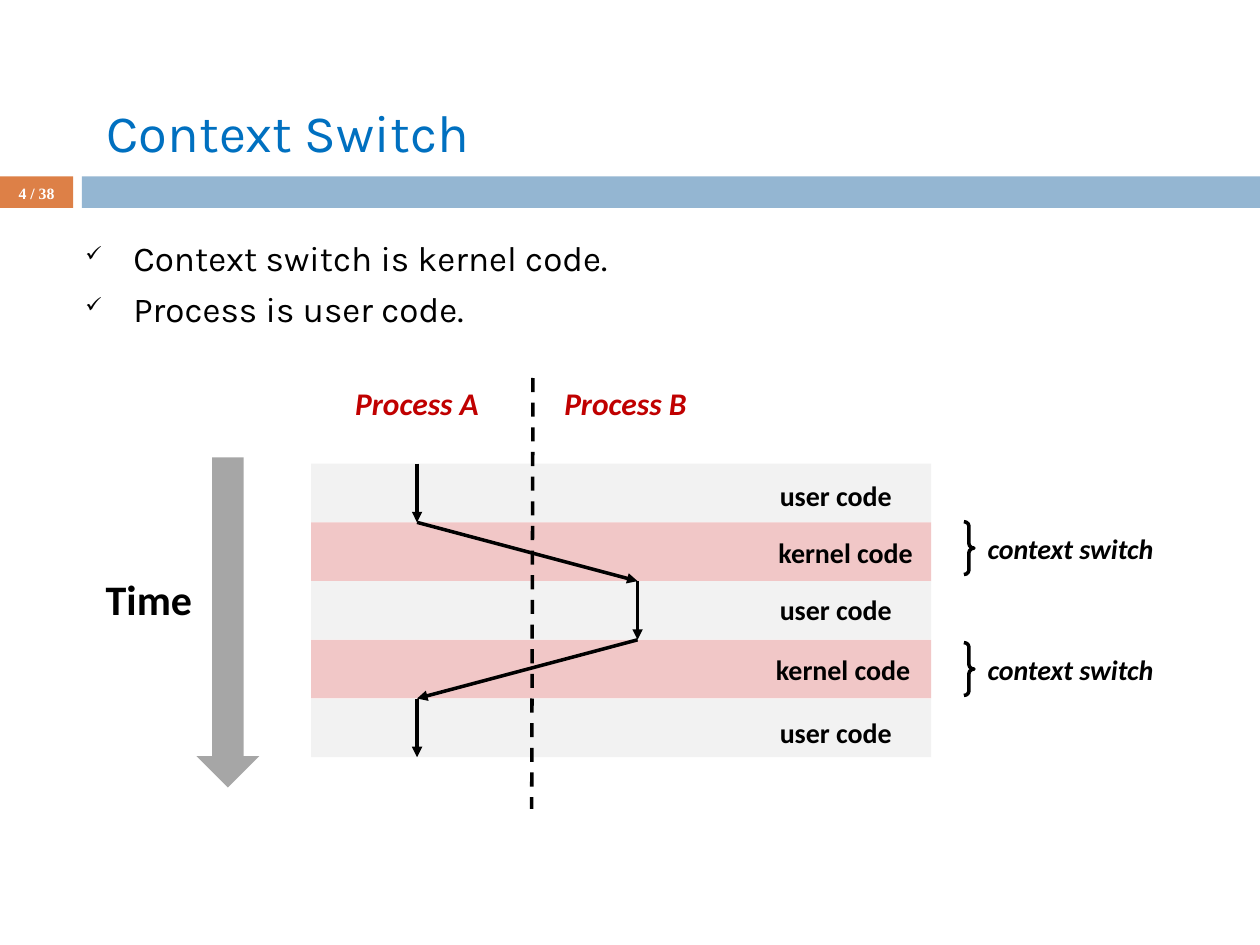
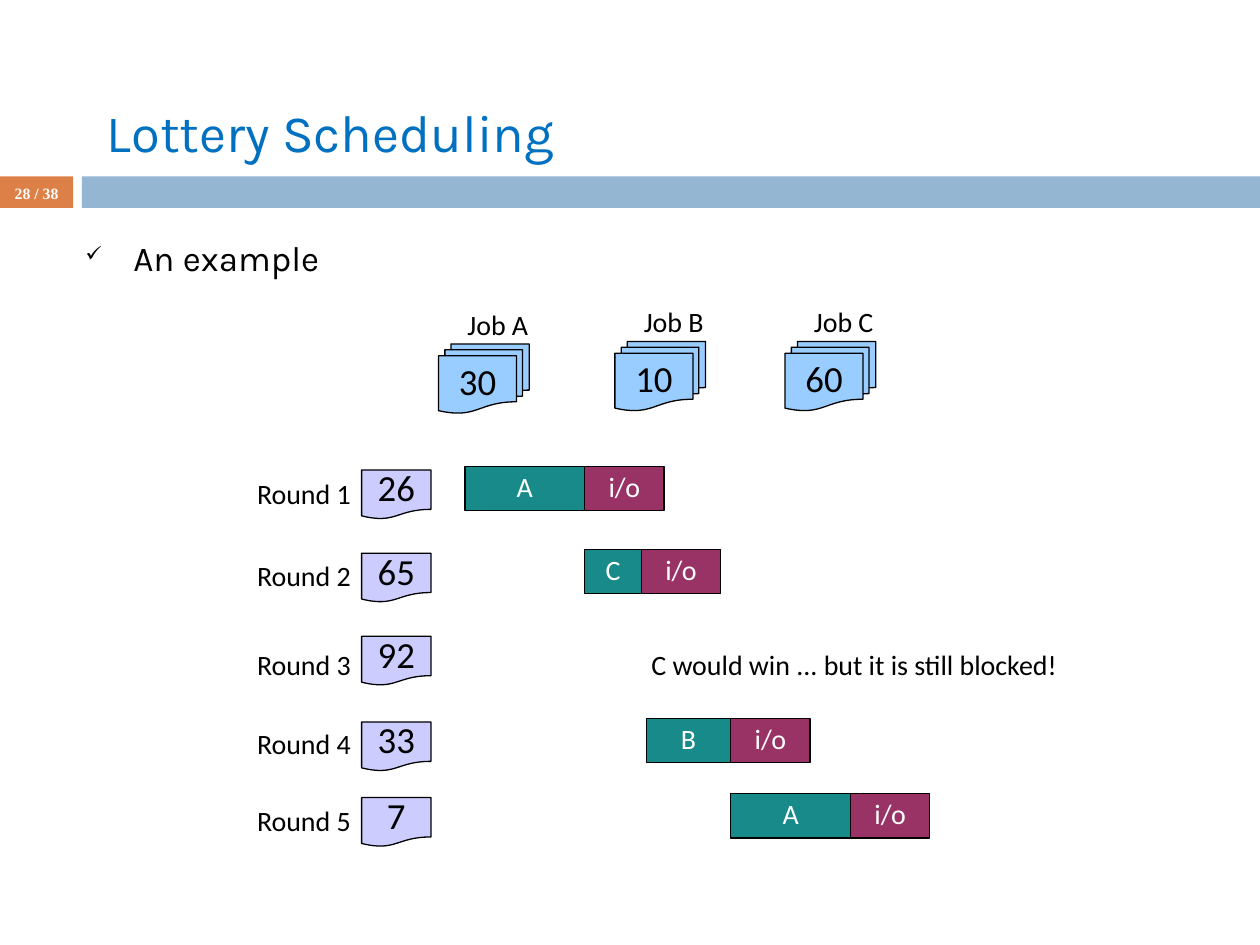
"""Build two operating-system slides: context switch and lottery scheduling."""
from dataclasses import dataclass
from itertools import pairwise

from lxml.etree import SubElement
from pptx import Presentation
from pptx.dml.color import RGBColor
from pptx.enum.dml import MSO_LINE_DASH_STYLE as Dash
from pptx.enum.shapes import MSO_CONNECTOR, MSO_SHAPE as Preset
from pptx.enum.text import MSO_ANCHOR as Anchor, MSO_AUTO_SIZE as AutoSize, PP_ALIGN as Align
from pptx.oxml.ns import qn
from pptx.shapes.autoshape import Shape
from pptx.slide import Slide
from pptx.util import Inches, Pt

BLACK = RGBColor(0x00, 0x00, 0x00)
WHITE = RGBColor(0xFF, 0xFF, 0xFF)
ORANGE = RGBColor(0xDD, 0x80, 0x47)
STEEL = RGBColor(0x94, 0xB6, 0xD2)
TITLE_BLUE = RGBColor(0x00, 0x70, 0xC0)
RED = RGBColor(0xC0, 0x00, 0x00)
USER_GRAY = RGBColor(0xF2, 0xF2, 0xF2)
KERNEL_PINK = RGBColor(0xF1, 0xC7, 0xC7)
ARROW_GRAY = RGBColor(0xA6, 0xA6, 0xA6)
TICKET_BLUE = RGBColor(0x99, 0xCC, 0xFF)
DRAW_LILAC = RGBColor(0xCC, 0xCC, 0xFF)
RUN_TEAL = RGBColor(0x19, 0x8A, 0x8A)
IO_PLUM = RGBColor(0x99, 0x33, 0x66)

HEADING_FONT = "Karla"
LABEL_FONT = "Calibri"
PAGE_FONT = "Times New Roman"
PAGE_COUNT = 38

BAND_LEFT, BAND_TOP, BAND_WIDTH, BAND_PITCH = 2.47, 3.68, 4.92, 2.33 / 5
PROCESS_A_X, PROCESS_B_X = 3.31, 5.06
BAR_HEIGHT, IO_WIDTH = 0.35, 0.63


@dataclass(frozen=True)
class Band:
    """A stretch of time spent in user or kernel code."""

    mode: str
    color: RGBColor
    label_left: float
    label_top: float


@dataclass(frozen=True)
class Job:
    """A job and the lottery tickets it holds."""

    name: str
    tickets: int
    left: float
    top: float


@dataclass(frozen=True)
class Burst:
    """The CPU time of the job that wins a round."""

    job: str
    left: float
    width: float


@dataclass(frozen=True)
class Round:
    """One lottery draw and the burst it leads to."""

    ticket: int
    label_top: float
    card_top: float
    burst: Burst | None


BANDS = [
    Band("user", USER_GRAY, 6.09, 3.75),
    Band("kernel", KERNEL_PINK, 6.08, 4.2),
    Band("user", USER_GRAY, 6.09, 4.65),
    Band("kernel", KERNEL_PINK, 6.06, 5.13),
    Band("user", USER_GRAY, 6.09, 5.63),
]
JOBS = [
    Job("Job A", 30, 3.48, 2.73),
    Job("Job B", 10, 4.88, 2.71),
    Job("Job C", 60, 6.23, 2.71),
]
ROUNDS = [
    Round(26, 3.77, 3.73, Burst("A", 3.69, 0.95)),
    Round(65, 4.42, 4.39, Burst("C", 4.64, 0.45)),
    Round(92, 5.13, 5.05, None),
    Round(33, 5.76, 5.73, Burst("B", 5.13, 0.67)),
    Round(7, 6.37, 6.33, Burst("A", 5.8, 0.95)),
]


def write(shape: Shape, text: str, *, size: float, font: str = LABEL_FONT,
          color: RGBColor = BLACK, bold: bool = False, italic: bool = False,
          align: Align = Align.LEFT, anchor: Anchor = Anchor.TOP,
          spacing: float = 1.0, wrap: bool = True,
          inset: tuple[float, float] = (0.1, 0.05)) -> None:
    """Write formatted text, one paragraph a line, into a shape."""
    frame = shape.text_frame
    frame.word_wrap = wrap
    frame.auto_size = AutoSize.NONE
    frame.vertical_anchor = anchor
    frame.margin_left = frame.margin_right = Inches(inset[0])
    frame.margin_top = frame.margin_bottom = Inches(inset[1])
    frame.text = text
    for paragraph in frame.paragraphs:
        paragraph.alignment = align
        paragraph.line_spacing = spacing
        for run in paragraph.runs:
            run.font.name = font
            run.font.size = Pt(size)
            run.font.color.rgb = color
            run.font.bold = bold
            run.font.italic = italic


def add_text(slide: Slide, text: str, left: float, top: float, width: float,
             height: float, **text_format) -> Shape:
    """Add a text box."""
    box = slide.shapes.add_textbox(Inches(left), Inches(top), Inches(width), Inches(height))
    write(box, text, **text_format)
    return box


def add_block(slide: Slide, preset: Preset, left: float, top: float, width: float,
              height: float, fill: RGBColor | None = None, line: float = 0) -> Shape:
    """Add a preset shape with an optional fill and a black outline."""
    block = slide.shapes.add_shape(
        preset, Inches(left), Inches(top), Inches(width), Inches(height))
    block.shadow.inherit = False
    if fill is None:
        block.fill.background()
    else:
        block.fill.solid()
        block.fill.fore_color.rgb = fill
    if line:
        block.line.color.rgb = BLACK
        block.line.width = Pt(line)
    else:
        block.line.fill.background()
    return block


def add_line(slide: Slide, start: tuple[float, float], end: tuple[float, float],
             dashed: bool = False) -> None:
    """Add a dashed line or a solid arrow."""
    connector = slide.shapes.add_connector(
        MSO_CONNECTOR.STRAIGHT, *(Inches(value) for value in (*start, *end)))
    connector.line.color.rgb = BLACK
    connector.line.width = Pt(2)
    if dashed:
        connector.line.dash_style = Dash.DASH
    else:
        properties = connector._element.spPr
        SubElement(properties.find(qn("a:ln")), qn("a:tailEnd"), type="triangle")
    SubElement(connector._element.spPr, qn("a:effectLst"))


def add_bullets(slide: Slide, text: str, width: float) -> None:
    """Add the body text with check-mark bullets."""
    body = add_text(slide, text, 0.58, 1.83, width, 5.42, size=20, font=HEADING_FONT)
    for paragraph in body.text_frame.paragraphs:
        paragraph.space_before = Pt(5)
        properties = paragraph._p.get_or_add_pPr()
        properties.set("marL", str(Inches(0.38)))
        properties.set("indent", str(Inches(-0.38)))
        bullet_color = SubElement(properties, qn("a:buClr"))
        SubElement(bullet_color, qn("a:srgbClr"), val=str(BLACK))
        SubElement(properties, qn("a:buSzPct"), val="60000")
        SubElement(properties, qn("a:buChar"), char="✓")


def add_base_slide(presentation: Presentation, title: str, page: int) -> Slide:
    """Add a slide with its bands, title and page number."""
    slide = presentation.slides.add_slide(presentation.slide_layouts[6])
    add_block(slide, Preset.RECTANGLE, 0, 1.4, 0.58, 0.25, ORANGE)
    add_block(slide, Preset.RECTANGLE, 0.65, 1.4, 9.35, 0.25, STEEL)
    add_text(slide, title, 0.75, 0.42, 8.5, 1.25, size=30, font=HEADING_FONT,
             color=TITLE_BLUE, anchor=Anchor.MIDDLE)
    add_text(slide, f"{page} / {PAGE_COUNT}", 0, 1.42, 0.58, 0.27, size=9,
             font=PAGE_FONT, color=WHITE, bold=True, align=Align.CENTER,
             anchor=Anchor.MIDDLE, spacing=0.6)
    return slide


def build_context_switch(presentation: Presentation) -> None:
    """Build the timeline of two processes that switch."""
    slide = add_base_slide(presentation, "Context Switch", 4)
    add_bullets(slide, "Context switch is kernel code.\nProcess is user code.", 9.08)
    label = dict(bold=True, wrap=False)
    edges = [BAND_TOP + index * BAND_PITCH for index in range(len(BANDS) + 1)]
    for band, top in zip(BANDS, edges):
        add_block(slide, Preset.RECTANGLE, BAND_LEFT, top, BAND_WIDTH, BAND_PITCH, band.color)
        width = 1.27 if band.mode == "kernel" else 1.09
        add_text(slide, f"{band.mode} code", band.label_left, band.label_top, width, 0.37,
                 size=16, **label)
    for name, left in (("Process A", 2.72), ("Process B", 4.38)):
        add_text(slide, name, left, 3, 1.18, 0.4, size=18, color=RED, italic=True, **label)
    add_line(slide, (4.23, 3), (4.22, 6.42), dashed=True)
    for top in (4.14, 5.1):
        brace = add_block(slide, Preset.RIGHT_BRACE, 7.65, top, 0.08, 0.42, line=2)
        brace.adjustments[0] = 0.45
        add_text(slide, "context switch", 7.74, top + 0.03, 1.53, 0.37, size=16,
                 italic=True, **label)
    add_text(slide, "Time", 0.74, 4.5, 0.92, 0.5, size=24, **label)
    add_block(slide, Preset.DOWN_ARROW, 1.56, 3.63, 0.5, 2.62, ARROW_GRAY)
    columns = [PROCESS_A_X] * 2 + [PROCESS_B_X] * 2 + [PROCESS_A_X] * 2
    for start, end in pairwise(zip(columns, edges)):
        add_line(slide, start, end)


def build_lottery(presentation: Presentation) -> None:
    """Build the lottery example with its jobs and rounds."""
    slide = add_base_slide(presentation, "Lottery Scheduling", 28)
    add_bullets(slide, "An example", 9.42)
    inset = (0.09, 0.04)
    label = dict(size=16, spacing=0.9, wrap=False, inset=inset)
    centered = dict(align=Align.CENTER, anchor=Anchor.MIDDLE, inset=inset)
    number = dict(size=21, spacing=0.92, wrap=False, **centered)
    for job in JOBS:
        add_text(slide, job.name, job.left + 0.14, job.top - 0.3, 0.63, 0.27, **label)
        stack = add_block(slide, Preset.FLOWCHART_MULTIDOCUMENT, job.left, job.top,
                          0.72, 0.55, TICKET_BLUE, 0.75)
        write(stack, str(job.tickets), **number)
    for index, draw in enumerate(ROUNDS, start=1):
        add_text(slide, f"Round {index}", 1.95, draw.label_top, 0.86, 0.27, **label)
        card = add_block(slide, Preset.FLOWCHART_DOCUMENT, 2.87, draw.card_top,
                         0.55, 0.39, DRAW_LILAC, 0.75)
        write(card, str(draw.ticket), **number)
        burst = draw.burst
        if burst is None:
            add_text(slide, "C would win ... but it is still blocked!", 5.08,
                     draw.label_top, 3.08, 0.27, **label)
            continue
        for text, left, width, color in (
                (burst.job, burst.left, burst.width, RUN_TEAL),
                ("i/o", burst.left + burst.width, IO_WIDTH, IO_PLUM)):
            bar = add_block(slide, Preset.ROUNDED_RECTANGLE, left, draw.card_top - 0.03,
                            width, BAR_HEIGHT, color, 0.75)
            bar.adjustments[0] = 0
            write(bar, text, size=16, color=WHITE, spacing=0.9, **centered)


def main() -> None:
    """Create and save the presentation."""
    presentation = Presentation()
    presentation.slide_width = Inches(10)
    presentation.slide_height = Inches(7.5)
    build_context_switch(presentation)
    build_lottery(presentation)
    presentation.save("out.pptx")


if __name__ == "__main__":
    main()
